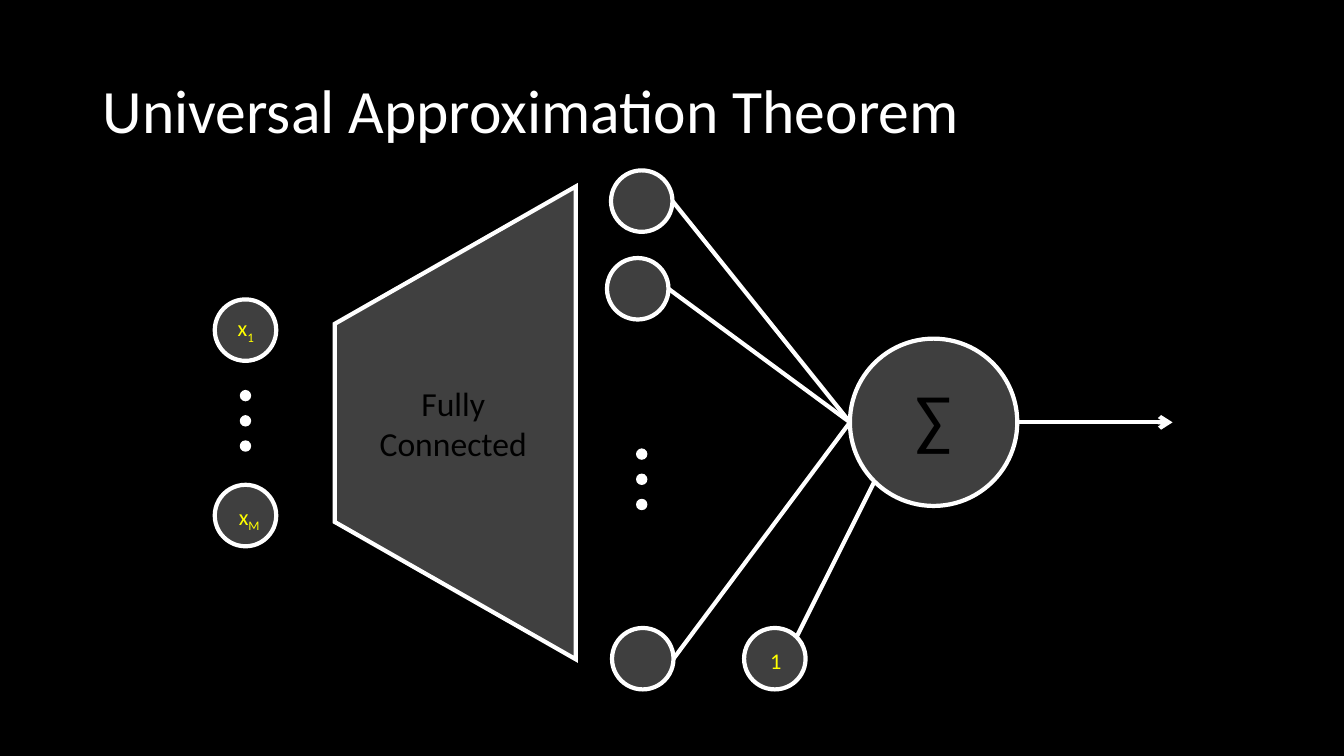
import math
from dataclasses import dataclass

from lxml import etree
from pptx import Presentation
from pptx.dml.color import RGBColor
from pptx.enum import shapes as kinds, text as txt
from pptx.oxml.ns import qn
from pptx.util import Inches, Pt


@dataclass(frozen=True)
class Theme:
    font: str = "Calibri"
    background: RGBColor = RGBColor(0, 0, 0)
    ink: RGBColor = RGBColor(0, 0, 0)
    light: RGBColor = RGBColor(255, 255, 255)
    neuron: RGBColor = RGBColor(0x7F, 0x7F, 0x7F)
    layer: RGBColor = RGBColor(0x40, 0x40, 0x40)
    value: RGBColor = RGBColor(255, 255, 0)
    title_size: int = 44
    sum_size: int = 48
    layer_size: int = 24
    value_size: int = 16
    stroke: int = 3


@dataclass(frozen=True)
class Circle:
    left: float
    top: float
    size: float = 0.61

    def rim(self, degrees: float) -> tuple[float, float]:
        """Point on the rim, in inches, clockwise from the right-hand side."""
        radius, angle = self.size / 2, math.radians(degrees)
        return (self.left + radius * (1 + math.cos(angle)),
                self.top + radius * (1 + math.sin(angle)))


@dataclass(frozen=True)
class Label:
    text: str
    box: tuple[float, float, float, float]
    size: int
    color: RGBColor
    subscript: str = ""
    align: txt.PP_ALIGN = txt.PP_ALIGN.LEFT
    anchor: txt.MSO_ANCHOR = txt.MSO_ANCHOR.TOP
    wrap: bool = True
    spacing: float = 1.0


THEME = Theme()
DOT_SIZE, DOT_STEP = 0.07, 0.25

HIDDEN_NEURONS = [Circle(6.06, 1.69), Circle(6.02, 2.56), Circle(6.07, 6.23)]
INPUTS = [Circle(2.13, 2.97), Circle(2.13, 4.81)]
BIAS = Circle(7.38, 6.23)
SUM = Circle(8.43, 3.36, 1.66)
ELLIPSES = [(2.4, 3.89), (6.33, 4.47)]
OUTPUT_END = (11.63, 4.19)

LABELS = [
    Label("Universal Approximation Theorem", (0.92, 0.4, 11.5, 1.45), THEME.title_size,
          THEME.light, anchor=txt.MSO_ANCHOR.MIDDLE, spacing=0.9),
    Label("∑", (8.98, 3.68, 0.57, 0.91), THEME.sum_size, THEME.ink, wrap=False),
    Label("1", (7.54, 6.37, 0.47, 0.37), THEME.value_size, THEME.value),
    Label("x", (2.26, 3.07, 0.47, 0.37), THEME.value_size, THEME.value, subscript="1"),
    Label("x", (2.27, 4.94, 0.47, 0.37), THEME.value_size, THEME.value, subscript="M"),
    Label("Fully Connected", (3.51, 3.75, 1.97, 0.91), THEME.layer_size, THEME.ink,
          align=txt.PP_ALIGN.CENTER),
]


def apply(target, values: dict) -> None:
    for name, value in values.items():
        setattr(target, name, value)


def style_line(line) -> None:
    line.width = Pt(THEME.stroke)
    line.fill.solid()
    line.fill.fore_color.rgb = THEME.light


def add_outlined(shapes, kind, box: tuple, color: RGBColor, opacity: int = 100):
    shape = shapes.add_shape(kind, *map(Inches, box))
    shape.shadow.inherit = False
    shape.fill.solid()
    shape.fill.fore_color.rgb = color
    if opacity < 100:
        paint = shape._element.spPr.find(qn("a:solidFill"))[0]
        etree.SubElement(paint, qn("a:alpha"), val=str(opacity * 1000))
    style_line(shape.line)
    outline = shape._element.spPr.find(qn("a:ln"))
    etree.SubElement(outline, qn("a:miter"), lim="800000")
    return shape


def add_neuron(shapes, circle: Circle) -> None:
    box = (circle.left, circle.top, circle.size, circle.size)
    add_outlined(shapes, kinds.MSO_SHAPE.OVAL, box, THEME.neuron, opacity=50)


def add_dots(shapes, left: float, top: float) -> None:
    """Three stacked dots standing for the neurons left out."""
    group = shapes.add_group_shape()
    for row in range(3):
        box = (left, top + row * DOT_STEP, DOT_SIZE, DOT_SIZE)
        add_outlined(group.shapes, kinds.MSO_SHAPE.OVAL, box, THEME.light)


def add_link(shapes, start: tuple, end: tuple, arrow: bool = False) -> None:
    link = shapes.add_connector(kinds.MSO_CONNECTOR.STRAIGHT, *map(Inches, start + end))
    style_line(link.line)
    properties = link._element.spPr
    if arrow:
        etree.SubElement(properties.find(qn("a:ln")), qn("a:tailEnd"), type="arrow")
    etree.SubElement(properties, qn("a:effectLst"))


def add_label(shapes, label: Label) -> None:
    frame = shapes.add_textbox(*map(Inches, label.box)).text_frame
    apply(frame, {"word_wrap": label.wrap, "vertical_anchor": label.anchor})
    paragraph = frame.paragraphs[0]
    apply(paragraph, {"alignment": label.align, "line_spacing": label.spacing})
    for words, baseline in ((label.text, 0), (label.subscript, -25)):
        if not words:
            continue
        run = paragraph.add_run()
        run.text = words
        apply(run.font, {"name": THEME.font, "size": Pt(label.size)})
        run.font.color.rgb = label.color
        if baseline:
            run._r.get_or_add_rPr().set("baseline", str(baseline * 1000))


def main() -> None:
    deck = Presentation()
    apply(deck, {"slide_width": Inches(13.33), "slide_height": Inches(7.5)})
    slide = deck.slides.add_slide(deck.slide_layouts[6])
    slide.background.fill.solid()
    slide.background.fill.fore_color.rgb = THEME.background
    shapes = slide.shapes

    for circle in [*HIDDEN_NEURONS, *INPUTS, BIAS, SUM]:
        add_neuron(shapes, circle)
    for left, top in ELLIPSES:
        add_dots(shapes, left, top)

    for neuron in HIDDEN_NEURONS:
        add_link(shapes, neuron.rim(0), SUM.rim(180))
    add_link(shapes, BIAS.rim(-45), SUM.rim(135))
    add_link(shapes, SUM.rim(0), OUTPUT_END, arrow=True)

    layer = add_outlined(shapes, kinds.MSO_SHAPE.TRAPEZOID, (2.17, 3, 4.69, 2.39), THEME.layer)
    layer.adjustments[0] = 0.57
    layer.rotation = 270

    for label in LABELS:
        add_label(shapes, label)
    deck.save("out.pptx")


if __name__ == "__main__":
    main()
